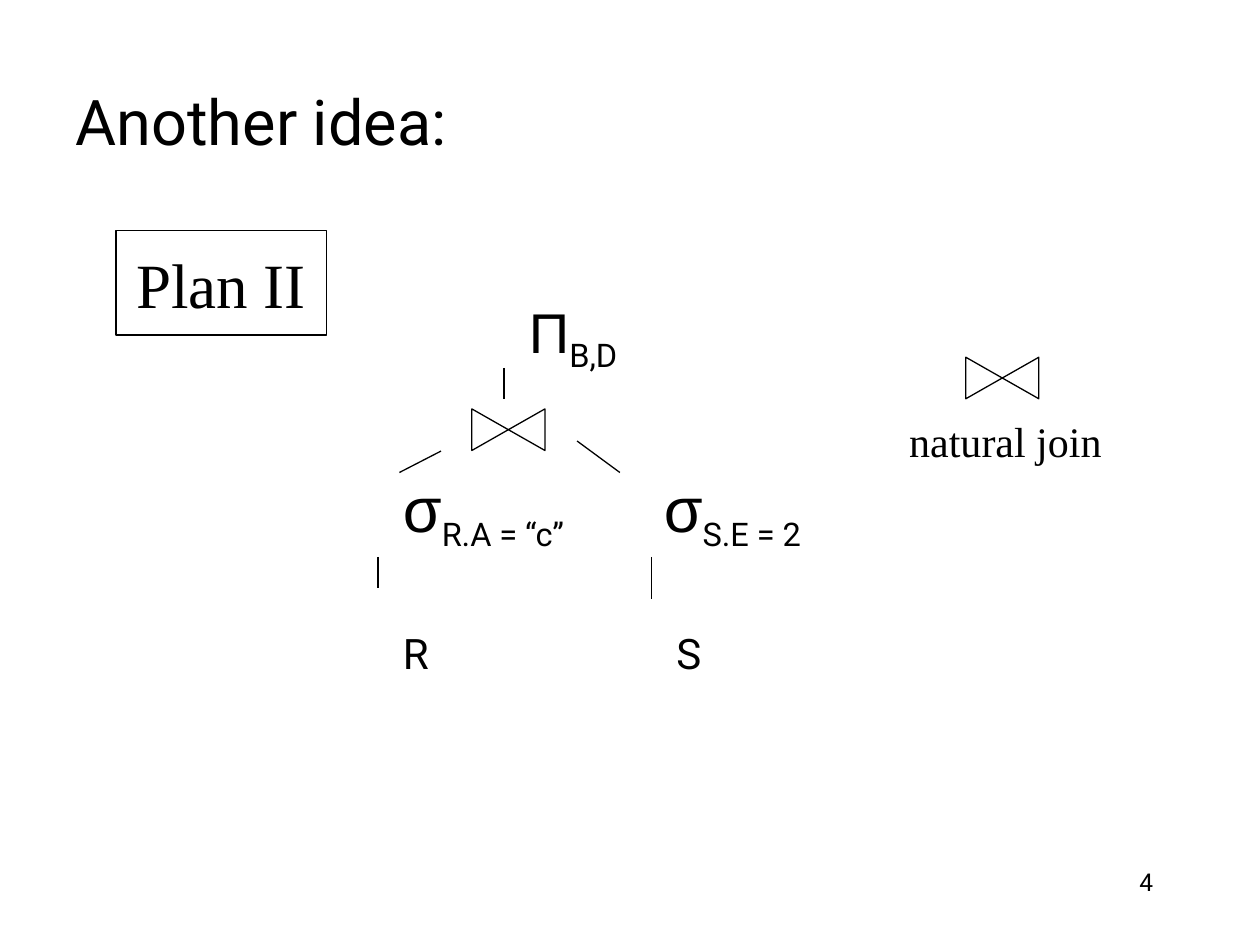
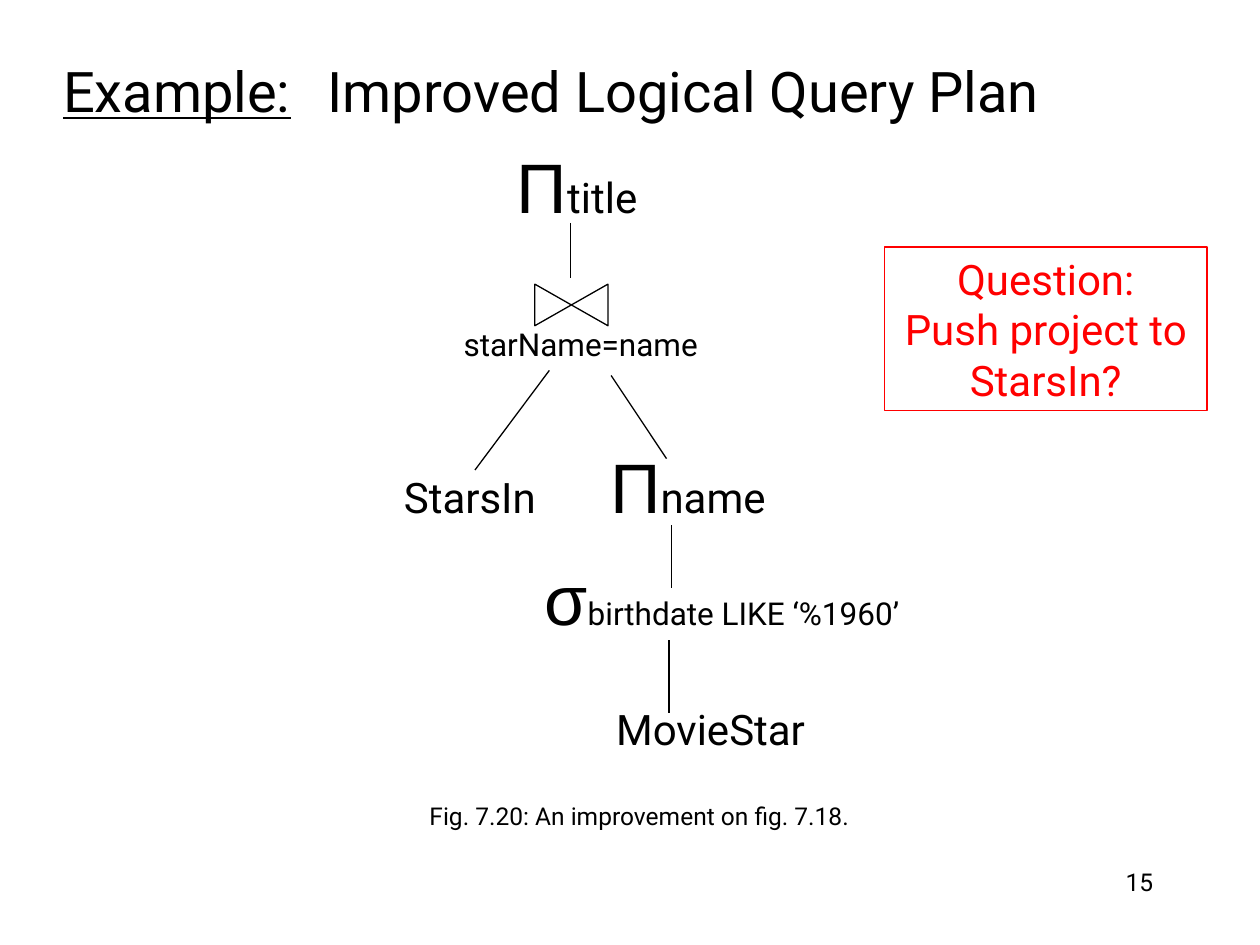
from lxml.etree import SubElement
from pptx import Presentation
from pptx.dml.color import RGBColor
from pptx.enum.shapes import MSO_CONNECTOR, MSO_SHAPE
from pptx.enum.text import MSO_ANCHOR, MSO_AUTO_SIZE, PP_ALIGN
from pptx.oxml.ns import qn
from pptx.util import Inches, Pt

BLACK, WHITE, RED = "000000", "FFFFFF", "FF0000"
SANS, SYMBOL, SERIF = "Roboto", "Arial", "Times New Roman"
TITLE_ONLY = 5
LINE_WIDTH = 0.75


def color(hex_string):
    return RGBColor.from_string(hex_string)


class Deck:
    """Holds the shared style and the current slide."""

    def __init__(self):
        self.presentation = Presentation()
        self.presentation.slide_width = Inches(10)
        self.presentation.slide_height = Inches(7.5)
        self.slide = None

    def format_run(self, run, size, font=SANS, ink=BLACK):
        run.font.size = Pt(size)
        run.font.name = font
        run.font.color.rgb = color(ink)

    def add_slide(self, number):
        layout = self.presentation.slide_layouts[TITLE_ONLY]
        self.slide = self.presentation.slides.add_slide(layout)
        self.text(7.17, 6.83, 2.08, 0.5, [(str(number), 14)],
                  align=PP_ALIGN.RIGHT, anchor=MSO_ANCHOR.TOP)

    def title(self, left, top, width, height, text, size):
        shape = self.slide.shapes.title
        shape.left, shape.top = Inches(left), Inches(top)
        shape.width, shape.height = Inches(width), Inches(height)
        frame = shape.text_frame
        frame.text = text
        frame.auto_size = MSO_AUTO_SIZE.NONE
        frame.vertical_anchor = MSO_ANCHOR.MIDDLE
        paragraph = frame.paragraphs[0]
        paragraph.alignment = PP_ALIGN.LEFT
        for run in paragraph.runs:
            self.format_run(run, size)
        return paragraph

    def text(self, left, top, width, height, parts,
             align=PP_ALIGN.CENTER, anchor=MSO_ANCHOR.MIDDLE):
        """Parts are (text, size) or (text, size, font) on one line."""
        shape = self.slide.shapes.add_textbox(
            Inches(left), Inches(top), Inches(width), Inches(height))
        frame = shape.text_frame
        frame.word_wrap = True
        frame.vertical_anchor = anchor
        paragraph = frame.paragraphs[0]
        paragraph.alignment = align
        for text, *style in parts:
            run = paragraph.add_run()
            run.text = text
            self.format_run(run, *style)
        return paragraph

    def term(self, left, top, parts, subscript=False):
        """A left-aligned node of the plan, with an optional subscript."""
        paragraph = self.text(left, top, 2.2, 0.7, parts,
                              PP_ALIGN.LEFT, MSO_ANCHOR.TOP)
        if subscript:
            properties = paragraph.runs[-1].font._element
            properties.set("baseline", "-25000")

    def outline(self, shape, ink, fill=None):
        shape.shadow.inherit = False
        shape.line.color.rgb = color(ink)
        shape.line.width = Pt(LINE_WIDTH)
        if fill:
            shape.fill.solid()
            shape.fill.fore_color.rgb = color(fill)
        else:
            shape.fill.background()

    def box(self, left, top, width, height, text, size, font, ink, fill=None):
        shape = self.slide.shapes.add_shape(
            MSO_SHAPE.RECTANGLE,
            Inches(left), Inches(top), Inches(width), Inches(height))
        self.outline(shape, ink, fill)
        frame = shape.text_frame
        frame.text = text
        frame.word_wrap = False
        frame.vertical_anchor = MSO_ANCHOR.MIDDLE
        for paragraph in frame.paragraphs:
            paragraph.alignment = PP_ALIGN.CENTER
            for run in paragraph.runs:
                self.format_run(run, size, font, ink)

    def join(self, left, top):
        """The bow-tie sign of a natural join."""
        shape = self.slide.shapes.add_shape(
            MSO_SHAPE.FLOWCHART_COLLATE,
            Inches(left), Inches(top), Inches(0.33), Inches(0.58))
        shape.rotation = 270
        self.outline(shape, BLACK, WHITE)

    def branches(self, ends):
        for start_x, start_y, end_x, end_y in ends:
            line = self.slide.shapes.add_connector(
                MSO_CONNECTOR.STRAIGHT, Inches(start_x), Inches(start_y),
                Inches(end_x), Inches(end_y))
            line.line.color.rgb = color(BLACK)
            line.line.width = Pt(LINE_WIDTH)
            SubElement(line._element.spPr, qn("a:effectLst"))


def build_plan_two(deck):
    deck.add_slide(4)
    deck.title(0.5, 0.33, 8.5, 1.25, "Another idea:", 36)
    deck.box(0.92, 1.83, 1.67, 0.83, "Plan II", 36, SERIF, BLACK, WHITE)

    # Query tree
    deck.term(4.1, 2.31, [("Π", 32, SYMBOL), ("B,D", 32)], subscript=True)
    deck.join(3.87, 3.12)
    deck.term(3.1, 3.68, [("σ", 36, SYMBOL), ("R.A = “c”", 32)], subscript=True)
    deck.term(5.17, 3.68, [("σ", 36, SYMBOL), ("S.E = 2", 32)], subscript=True)
    deck.term(3.1, 4.93, [("R", 24)])
    deck.term(5.27, 4.93, [("S", 24)])
    deck.branches([
        (4, 2.92, 4, 3.17),
        (3.5, 3.58, 3.17, 3.75),
        (4.58, 3.5, 4.92, 3.75),
        (3, 4.42, 3, 4.67),
        (5.17, 4.42, 5.17, 4.75),
    ])

    # Legend
    deck.join(7.79, 2.71)
    deck.text(6.98, 3.25, 2, 0.5, [("natural join", 24, SERIF)])


def build_improved_plan(deck):
    deck.add_slide(15)
    heading = deck.title(0.4, 0.23, 9.16, 0.97, "Example:", 32)
    heading.runs[0].font.underline = True
    run = heading.add_run()
    run.text = "\tImproved Logical Query Plan"
    deck.format_run(run, 32)
    tabs = SubElement(heading._p.get_or_add_pPr(), qn("a:tabLst"))
    SubElement(tabs, qn("a:tab"), pos=str(Inches(2.1)), algn="l")

    # Query tree
    deck.text(3.83, 1.09, 1.5, 0.77, [("Π", 40, SYMBOL), ("title", 24)])
    deck.join(4.37, 2.13)
    deck.text(3.41, 2.53, 2.4, 0.4, [("starName=name", 18)])
    deck.text(2.98, 3.69, 1.5, 0.5, [("StarsIn", 24)])
    deck.text(4.56, 3.47, 1.8, 0.77, [("Π", 40, SYMBOL), ("name", 24)])
    deck.text(4.13, 4.36, 3.2, 0.77,
              [("σ", 40, SYMBOL), ("birthdate LIKE ‘%1960’", 18)])
    deck.text(4.64, 5.53, 2, 0.5, [("MovieStar", 24)])
    deck.branches([
        (4.53, 1.77, 4.53, 2.21),
        (4.36, 2.94, 3.77, 3.73),
        (4.85, 2.98, 5.29, 3.64),
        (5.33, 4.17, 5.33, 4.67),
        (5.31, 5.08, 5.31, 5.66),
    ])

    # Question and caption
    deck.box(7.02, 1.96, 2.56, 1.3, "Question:\nPush project to\nStarsIn?",
             24, SANS, RED)
    deck.text(1.47, 6.3, 7.21, 0.34,
              [("Fig. 7.20: An improvement on fig. 7.18.", 14)])


def main():
    deck = Deck()
    build_plan_two(deck)
    build_improved_plan(deck)
    deck.presentation.save("out.pptx")


if __name__ == "__main__":
    main()
